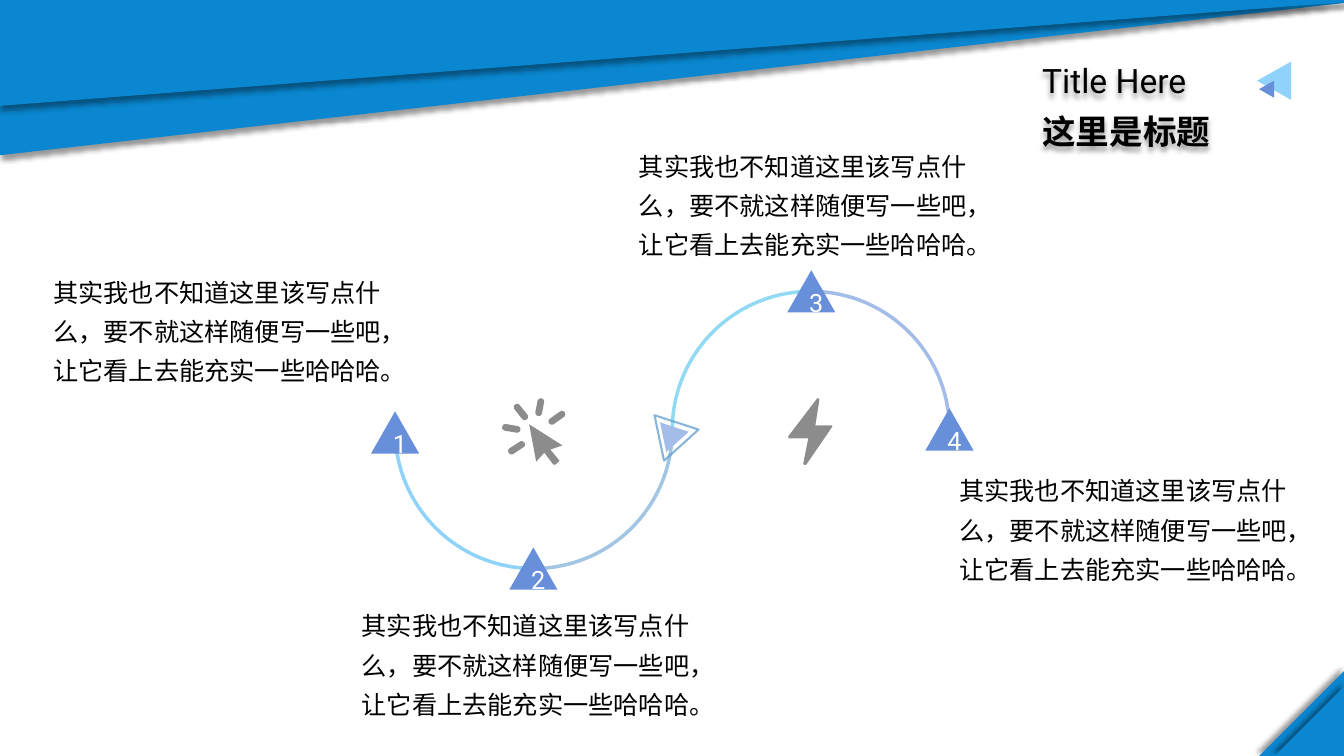
from math import atan2, cos, pi, sin

from pptx import Presentation
from pptx.dml.color import RGBColor
from pptx.enum.shapes import MSO_SHAPE as SHAPE
from pptx.enum.text import MSO_ANCHOR as ANCHOR, MSO_AUTO_SIZE as FIT, PP_ALIGN as ALIGN
from pptx.oxml.ns import qn
from pptx.util import Pt
from lxml.etree import SubElement

COLORS = {
    "banner": "0A87D0", "black": "000000", "white": "FFFFFF",
    "sky": "90D3FA", "marker": "688FD9", "steel": "A1C5E2",
    "lilac": "A4BCE8", "aqua": "92DAF4", "outline": "639ECE", "icon": "8C8C8C",
}
LATIN, CJK = "Roboto", "Noto Sans CJK SC"
BODY = "其实我也不知道这里该写点什么，要不就这样随便写一些吧，让它看上去能充实一些哈哈哈。"


def rgb(name):
    return RGBColor.from_string(COLORS[name])


def write(tf, text, size=18, font=CJK, color="black", bold=False, align=None, spacing=None):
    p = tf.paragraphs[0]
    p.alignment = align
    p.line_spacing = spacing
    r = p.add_run()
    r.text = text
    r.font.size = Pt(size)
    r.font.name = font
    r.font.bold = bold
    r.font.color.rgb = rgb(color)
    SubElement(r.font._element, qn("a:ea"), typeface=font)


def capsule(x1, y1, x2, y2, radius=2.4, steps=8):
    angle = atan2(y2 - y1, x2 - x1)
    ends = ((x2, y2, angle - pi / 2), (x1, y1, angle + pi / 2))
    return [(x + radius * cos(start + pi * i / steps), y + radius * sin(start + pi * i / steps))
            for x, y, start in ends for i in range(steps + 1)]


class Deck:
    def __init__(self, width, height):
        self.prs = Presentation()
        self.prs.slide_width, self.prs.slide_height = Pt(width), Pt(height)
        self.width, self.height = width, height
        self.s = self.prs.slides.add_slide(self.prs.slide_layouts[5])

    def shadow(self, sp, angle):
        spPr = sp._element.spPr
        for old in spPr.findall(qn("a:effectLst")):
            spPr.remove(old)
        effects = SubElement(spPr, qn("a:effectLst"))
        outer = SubElement(effects, qn("a:outerShdw"), blurRad=str(Pt(4)), dist=str(Pt(3)),
                           dir=str(angle * 60000), algn="t", rotWithShape="0")
        clr = SubElement(outer, qn("a:srgbClr"), val=COLORS["black"])
        SubElement(clr, qn("a:alpha"), val="40000")

    def paint(self, sp, fill=None, line=None, weight=0):
        sp.shadow.inherit = False
        if fill:
            sp.fill.solid()
            sp.fill.fore_color.rgb = rgb(fill)
        else:
            sp.fill.background()
        if line:
            sp.line.color.rgb = rgb(line)
            sp.line.width = Pt(weight)
        else:
            sp.line.fill.background()
        return sp

    def shape(self, kind, x, y, w, h, turn=0, **style):
        sp = self.s.shapes.add_shape(kind, Pt(x), Pt(y), Pt(w), Pt(h))
        sp.rotation = turn
        return self.paint(sp, **style)

    def banner(self, depth, length=979.2):
        left = (length - depth) / 2
        sp = self.shape(SHAPE.RIGHT_TRIANGLE, left, -left, depth, length, 90, fill="banner")
        self.shadow(sp, 90)

    def corner(self, side):
        sp = self.shape(SHAPE.RIGHT_TRIANGLE, self.width - side, self.height - side,
                        side, side, 270, fill="banner")
        self.shadow(sp, 225)

    def triangle(self, x, y, w, h, turn=0, **style):
        return self.shape(SHAPE.ISOSCELES_TRIANGLE, x, y, w, h, turn, **style)

    def arc(self, x, turn, color):
        self.shape(SHAPE.ARC, x, 208.1, 198, 198, turn, line=color, weight=2.5)

    def marker(self, number, x, y):
        tf = self.triangle(x, y, 34.4, 30.2, fill="marker").text_frame
        tf.vertical_anchor = ANCHOR.MIDDLE
        write(tf, str(number), font=LATIN, color="white", align=ALIGN.CENTER)

    def textbox(self, x, y, w, h, text, **style):
        sp = self.s.shapes.add_textbox(Pt(x), Pt(y), Pt(w), Pt(h))
        sp.text_frame.word_wrap = True
        sp.text_frame.auto_size = FIT.SHAPE_TO_FIT_TEXT
        write(sp.text_frame, text, **style)
        return sp

    def title(self, x, y, w, h, text, **style):
        sp = self.s.shapes.title
        sp.left, sp.top, sp.width, sp.height = Pt(x), Pt(y), Pt(w), Pt(h)
        sp.text_frame.vertical_anchor = ANCHOR.TOP
        sp.text_frame.auto_size = FIT.SHAPE_TO_FIT_TEXT
        write(sp.text_frame, text, **style)
        return sp

    def icon(self, *outlines):
        outlines = [[(Pt(x), Pt(y)) for x, y in points] for points in outlines]
        builder = self.s.shapes.build_freeform(*outlines[0][0])
        for i, points in enumerate(outlines):
            if i:
                builder.move_to(*points[0])
            builder.add_line_segments(points[1:], close=True)
        self.paint(builder.convert_to_shape(), fill="icon")


def main():
    deck = Deck(960, 540)
    deck.corner(60.5)
    deck.banner(110.9)
    deck.banner(75.6)
    deck.corner(49.5)

    heading = dict(size=24, align=ALIGN.JUSTIFY)
    subtitle = deck.textbox(737.3, 39.6, 162, 36, "Title Here", font=LATIN, **heading)
    title = deck.title(737.3, 75.6, 192.2, 36, "这里是标题", bold=True, **heading)
    for sp in (subtitle, title):
        deck.shadow(sp, 90)
    deck.triangle(896.4, 45.4, 27.4, 24.5, 270, fill="sky")
    deck.triangle(898.6, 58.3, 12.2, 10.8, 270, fill="marker")

    for x, turn, color in ((282.2, 90, "steel"), (282.2, 180, "sky"),
                           (480.2, 0, "lilac"), (480.2, 270, "aqua")):
        deck.arc(x, turn, color)

    steps = (((265, 293.8), (31, 187.9)), ((363.8, 391), (251.3, 426.2)),
             ((562.3, 193), (449.3, 97.9)), ((661, 291.6), (678.2, 329.8)))
    for number, (marker, note) in enumerate(steps, 1):
        deck.marker(number, *marker)
        deck.textbox(*note, 259.2, 90, BODY, spacing=1.3)

    deck.triangle(468, 304.6, 21.6, 18.7, 198, fill="lilac")
    frame = deck.triangle(462.2, 301, 33.1, 28.8, 198, line="outline", weight=1.5)
    clr = frame.line._ln.find(".//" + qn("a:srgbClr"))
    SubElement(clr, qn("a:alpha"), val="75000")

    pointer = [(378, 303.1), (383, 329.8), (388.8, 323.3), (395.3, 331.9), (396.7, 331.9),
               (399.6, 329), (393.1, 321.1), (401.8, 318.2)]
    rays = ((365.4, 322.2, 372.6, 317.5), (401.4, 295.9, 394.2, 301),
            (369.4, 290.9, 374.8, 297.7), (386.3, 286.9, 384.8, 294.8),
            (361.1, 305.3, 369.4, 306.7))
    deck.icon(pointer, *(capsule(*ray) for ray in rays))
    deck.icon([(573.8, 331.2), (577.4, 313.2), (563.4, 313.2), (563, 311.8), (583.9, 284.4),
               (585.4, 285.1), (582.5, 303.8), (594, 303.8), (594.7, 304.6), (576, 331.9),
               (574.6, 332.2)])

    deck.prs.save("out.pptx")


if __name__ == "__main__":
    main()
